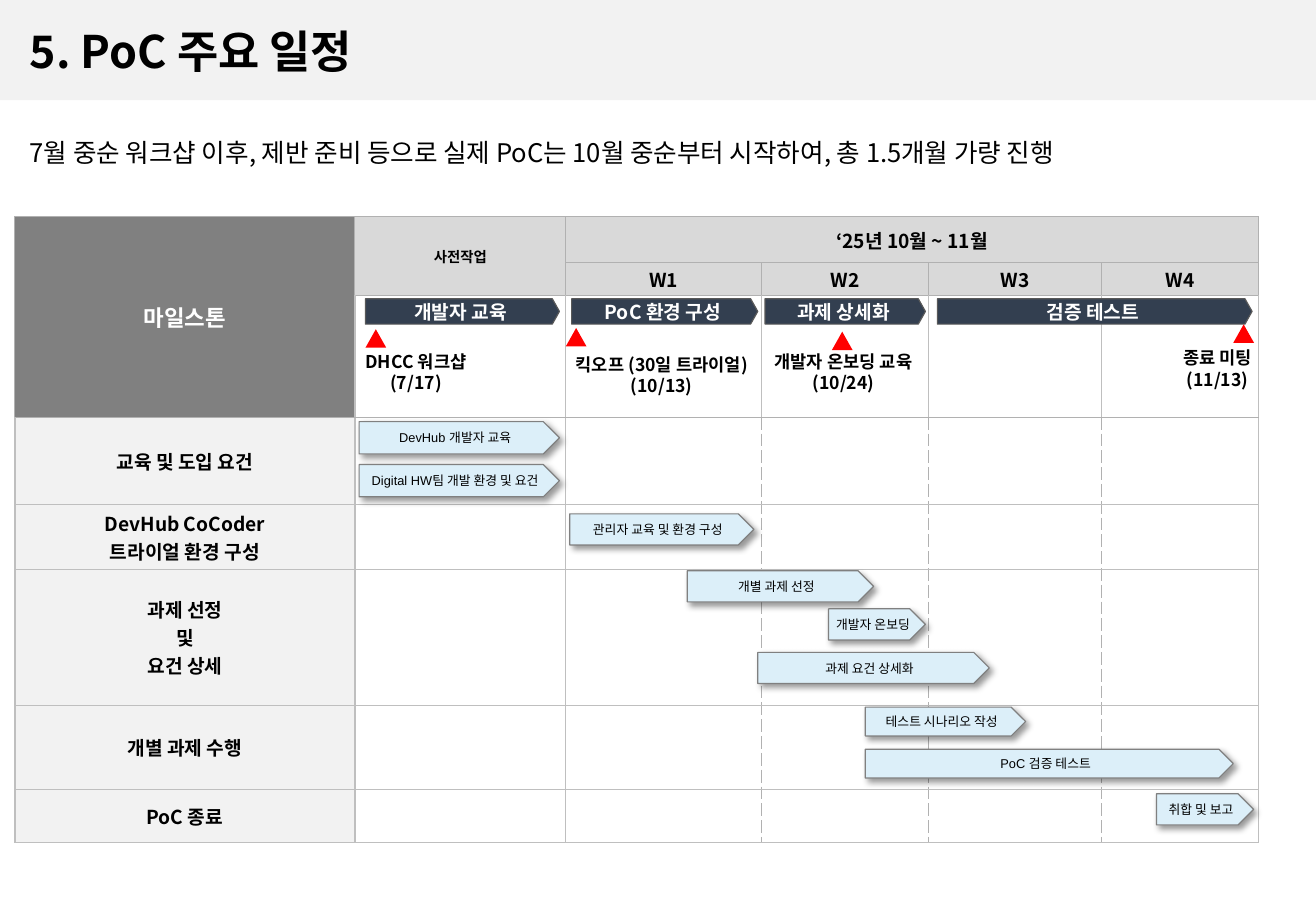
from dataclasses import dataclass
from itertools import accumulate

from lxml import etree
from pptx import Presentation, util as u
from pptx.dml.color import RGBColor
from pptx.enum import shapes, text
from pptx.oxml import ns, parse_xml

# Content
TITLE = "5. PoC 주요 일정"
SUMMARY = ("7월 중순 워크샵 이후, 제반 준비 등으로 실제 PoC는 10월 중순부터 시작하여, "
           "총 1.5개월 가량 진행")
CORNER, PREPARATION, PERIOD = "마일스톤", "사전작업", "‘25년 10월 ~ 11월"
WEEKS = ["W1", "W2", "W3", "W4"]
WORKSTREAMS = ["교육 및 도입 요건", "DevHub CoCoder\n트라이얼 환경 구성",
               "과제 선정\n및\n요건 상세", "개별 과제 수행", "PoC 종료"]

# Grid positions: 2.5 is the middle of the column or row with index 2
PHASES = [  # label, start column, end column
    ("개발자 교육", 1.05, 1.97), ("PoC 환경 구성", 2.03, 2.98),
    ("과제 상세화", 3.02, 3.98), ("검증 테스트", 4.05, 5.96)]
MILESTONES = [  # label, marker column and row, label centre column and row, label width
    ("DHCC 워크샵\n(7/17)", 1.05, 2.28, 1.29, 2.42, 1.3),
    ("킥오프 (30일 트라이얼)\n(10/13)", 2.0, 2.27, 2.49, 2.44, 2.0),
    ("개발자 온보딩 교육\n(10/24)", 3.42, 2.30, 3.49, 2.42, 1.6),
    ("종료 미팅\n(11/13)", 5.84, 2.24, 5.74, 2.39, 1.0)]
TASKS = [  # label, start column, end column, row, height in inches
    ("DevHub 개발자 교육", 1.02, 1.97, 3.05, 0.28),
    ("Digital HW팀 개발 환경 및 요건", 1.02, 1.97, 3.54, 0.28),
    ("관리자 교육 및 환경 구성", 2.02, 2.96, 4.14, 0.27),
    ("개별 과제 선정", 2.62, 3.67, 5.01, 0.27),
    ("개발자 온보딩", 3.4, 3.98, 5.29, 0.27),
    ("과제 요건 상세화", 2.98, 4.35, 5.61, 0.27),
    ("테스트 시나리오 작성", 3.62, 4.56, 6.02, 0.25),
    ("PoC 검증 테스트", 3.62, 5.84, 6.52, 0.25),
    ("취합 및 보고", 5.35, 5.97, 7.08, 0.27)]


@dataclass(frozen=True)
class Theme:
    heading: str = "Noto Sans CJK KR"
    body: str = "Arial"
    black: str = "000000"
    white: str = "FFFFFF"
    pale: str = "F2F2F2"
    header: str = "D9D9D9"
    corner: str = "808080"
    head_rule: str = "B1B1B1"
    body_rule: str = "BFBFBF"
    phase: str = "333F50"
    phase_line: str = "595959"
    task: str = "DCEFF9"
    marker: str = "FF0000"
    title_size: float = 28
    summary_size: float = 16
    corner_size: float = 14
    label_size: float = 12
    milestone_size: float = 11
    small_size: float = 9
    task_size: float = 8


THEME = Theme()
WIDTH, HEIGHT = 11.42, 7.99
LEFT, TOP = 0.13, 1.88
COLUMNS = [2.95, 1.83, 1.7, 1.45, 1.5, 1.36]
ROWS = [0.4, 0.28, 1.06, 0.76, 0.56, 1.18, 0.73, 0.46]
COLUMN_EDGES = list(accumulate(COLUMNS, initial=LEFT))
ROW_EDGES = list(accumulate(ROWS, initial=TOP))

deck = Presentation()
deck.slide_width, deck.slide_height = u.Inches(WIDTH), u.Inches(HEIGHT)
slide = deck.slides.add_slide(deck.slide_layouts[6])


def grid(position, edges, sizes):
    index = int(position)
    return edges[index] + (position - index) * sizes[index]


def grid_x(column):
    return grid(column, COLUMN_EDGES, COLUMNS)


def grid_y(row):
    return grid(row, ROW_EDGES, ROWS)


def write(frame, words, size, color=THEME.black, bold=True, font=THEME.heading,
          align=text.PP_ALIGN.CENTER, spacing=None):
    frame.text = words
    for paragraph in frame.paragraphs:
        paragraph.alignment = align
        if spacing:
            paragraph.line_spacing = spacing
        face = paragraph.font
        face.size, face.bold, face.name = u.Pt(size), bold, font
        face.color.rgb = RGBColor.from_string(color)
        if font == THEME.heading:
            defaults = paragraph._p.pPr.find(ns.qn("a:defRPr"))
            etree.SubElement(defaults, ns.qn("a:ea"), typeface=font)


def inset(frame, across, down):
    frame.margin_left = frame.margin_right = u.Inches(across)
    frame.margin_top = frame.margin_bottom = u.Inches(down)


def add_text(box, words, size, **style):
    frame = slide.shapes.add_textbox(*map(u.Inches, box)).text_frame
    frame.word_wrap = True
    write(frame, words, size, **style)
    return frame


def add_shape(kind, box, fill, line=None):
    shape = slide.shapes.add_shape(kind, *map(u.Inches, box))
    shape.shadow.inherit = False
    shape.fill.solid()
    shape.fill.fore_color.rgb = RGBColor.from_string(fill)
    if line:
        shape.line.color.rgb = RGBColor.from_string(line)
        shape.line.width = u.Pt(0.75)
    else:
        shape.line.fill.background()
    return shape


def add_bar(start, end, row, height, fill, line):
    x = grid_x(start)
    bar = add_shape(shapes.MSO_SHAPE.PENTAGON,
                    (x, grid_y(row), grid_x(end) - x, height), fill, line)
    bar.text_frame.vertical_anchor = text.MSO_ANCHOR.MIDDLE
    return bar


def drop_shadow(shape):
    effects = shape._element.spPr.find(ns.qn("a:effectLst"))
    effects.append(parse_xml(
        f'<a:outerShdw {ns.nsdecls("a")} blurRad="{u.Pt(4)}" dist="{u.Pt(3)}" '
        f'dir="{45 * 60000}" algn="tl" rotWithShape="0"><a:srgbClr val="{THEME.black}">'
        '<a:alpha val="40000"/></a:srgbClr></a:outerShdw>'))


def rule_cell(cell, row, column):
    """Solid rules, dashed between the weeks of the workstream rows."""
    header = row < 2 or (row == 2 and column == 0)
    work = row > 2
    sides = [("L", header, work and column > 2), ("R", header, work and 2 <= column < 5),
             ("T", row <= 3, False), ("B", row <= 2, False)]
    for index, (side, light, dashed) in enumerate(sides):
        light = light or dashed
        color = THEME.head_rule if light else THEME.body_rule
        cell._tc.get_or_add_tcPr().insert(index, parse_xml(
            f'<a:ln{side} {ns.nsdecls("a")} w="{u.Pt(0.75 if light else 1)}"><a:solidFill>'
            f'<a:srgbClr val="{color}"/></a:solidFill>'
            f'<a:prstDash val="{"dash" if dashed else "solid"}"/></a:ln{side}>'))


# Heading
add_shape(shapes.MSO_SHAPE.RECTANGLE, (0, 0, WIDTH, 0.87), THEME.pale)
add_text((0.16, 0.21, 11.13, 0.55), TITLE, THEME.title_size,
         align=text.PP_ALIGN.LEFT, spacing=0.9)
add_text((0.16, 1.17, 11.26, 0.55), SUMMARY, THEME.summary_size, bold=False,
         align=text.PP_ALIGN.LEFT, spacing=0.9)

# Schedule table: (row, column) -> words, size, colour
labels = {(0, 0): (CORNER, THEME.corner_size, THEME.white),
          (0, 1): (PREPARATION, THEME.small_size, THEME.black),
          (0, 2): (PERIOD, THEME.label_size, THEME.black)}
labels |= {(1, 2 + i): (week, THEME.label_size, THEME.black) for i, week in enumerate(WEEKS)}
labels |= {(3 + i, 0): (work, THEME.label_size, THEME.black)
           for i, work in enumerate(WORKSTREAMS)}

schedule = slide.shapes.add_table(len(ROWS), len(COLUMNS), *map(
    u.Inches, (LEFT, TOP, sum(COLUMNS), sum(ROWS)))).table
schedule.first_row = schedule.horz_banding = False
for column, width in zip(schedule.columns, COLUMNS):
    column.width = u.Inches(width)
for r, height in enumerate(ROWS):
    schedule.rows[r].height = u.Inches(height)
    for c in range(len(COLUMNS)):
        cell = schedule.cell(r, c)
        if r == 2 and c > 0:
            cell.fill.background()
        else:
            if c == 0:
                fill = THEME.corner if r < 3 else THEME.pale
            else:
                fill = THEME.header if r < 2 else THEME.white
            cell.fill.solid()
            cell.fill.fore_color.rgb = RGBColor.from_string(fill)
        cell.vertical_anchor = text.MSO_ANCHOR.MIDDLE
        inset(cell, 0.02, 0.02)
        if (r, c) in labels:
            write(cell.text_frame, *labels[r, c])
        rule_cell(cell, r, c)
for first, last in [((0, 0), (2, 0)), ((0, 1), (1, 1)), ((0, 2), (0, 5))]:
    schedule.cell(*first).merge(schedule.cell(*last))

# Phases
for label, start, end in PHASES:
    bar = add_bar(start, end, 2.03, 0.22, THEME.phase, THEME.phase_line)
    bar.adjustments[0] = 0.28
    inset(bar.text_frame, 0.04, 0.05)
    write(bar.text_frame, label, THEME.label_size, THEME.white)

# Milestones
for label, column, row, label_column, label_row, width in MILESTONES:
    add_shape(shapes.MSO_SHAPE.ISOSCELES_TRIANGLE,
              (grid_x(column), grid_y(row), 0.18, 0.16), THEME.marker)
    frame = add_text((grid_x(label_column) - width / 2, grid_y(label_row), width, 0.45),
                     label, THEME.milestone_size)
    inset(frame, 0.04, 0.04)

# Tasks
for label, start, end, row, height in TASKS:
    bar = add_bar(start, end, row, height, THEME.task, THEME.corner)
    drop_shadow(bar)
    bar.text_frame.word_wrap = False
    inset(bar.text_frame, 0, 0.04)
    write(bar.text_frame, label, THEME.task_size, bold=False, font=THEME.body)

deck.save("out.pptx")
